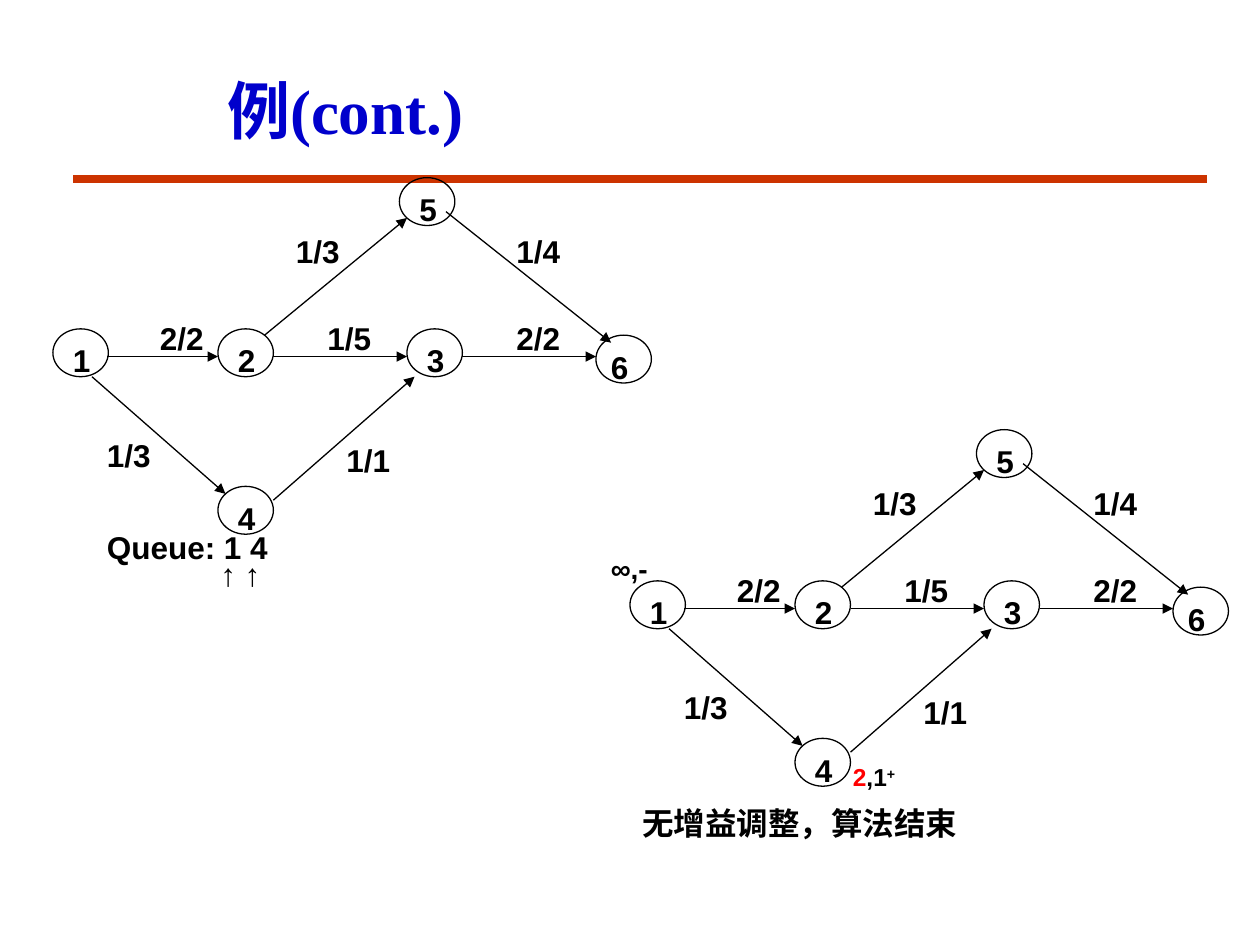
"""Build the slide showing the last steps of a maximum-flow example."""
from dataclasses import dataclass

from lxml.etree import SubElement
from pptx import Presentation
from pptx.dml.color import RGBColor
from pptx.enum.shapes import MSO_CONNECTOR, MSO_SHAPE
from pptx.enum.text import MSO_ANCHOR, MSO_AUTO_SIZE, PP_ALIGN
from pptx.oxml.ns import qn
from pptx.shapes.base import BaseShape
from pptx.shapes.connector import Connector
from pptx.util import Inches, Pt

STRAIGHT = MSO_CONNECTOR.STRAIGHT
OVAL = MSO_SHAPE.OVAL
TOP = MSO_ANCHOR.TOP
FIT_SHAPE = MSO_AUTO_SIZE.SHAPE_TO_FIT_TEXT
CENTER = PP_ALIGN.CENTER


@dataclass(frozen=True)
class Theme:
    """Colours, fonts and type sizes of the slide."""
    ink: RGBColor = RGBColor(0, 0, 0)
    title: RGBColor = RGBColor(0x00, 0x00, 0xCC)
    rule: RGBColor = RGBColor(0xCC, 0x33, 0x00)
    accent: RGBColor = RGBColor(0xFF, 0, 0)
    body_font: str = "Arial"
    title_font: str = "Times New Roman"
    title_size: int = 36
    body_size: int = 18
    source_size: int = 16
    mark_size: int = 14
    thin: float = 0.75
    thick: float = 4.5


@dataclass(frozen=True)
class Node:
    """A numbered vertex and its place in the network."""
    name: str
    left: float
    top: float
    label_shift: float = 0.06


@dataclass(frozen=True)
class Edge:
    """An arrow with its flow label."""
    start: tuple[float, float]
    end: tuple[float, float]
    label: str
    label_left: float
    label_top: float


THEME = Theme()
NODE_SIZE = (0.44, 0.38)
NETWORK_ORIGINS = ((0, 0), (4.58, 2))
NODES = (
    Node("1", 0.42, 2.61),
    Node("2", 1.73, 2.61),
    Node("3", 3.23, 2.61),
    Node("4", 1.73, 3.86),
    Node("5", 3.17, 1.41),
    Node("6", 4.73, 2.66, 0.02),
)
EDGES = (
    Edge((0.73, 2.99), (1.79, 3.92), "1/3", 0.75, 3.41),
    Edge((0.85, 2.83), (1.73, 2.83), "2/2", 1.17, 2.48),
    Edge((2.1, 2.66), (3.23, 1.73), "1/3", 2.25, 1.79),
    Edge((2.17, 2.83), (3.23, 2.83), "1/5", 2.5, 2.48),
    Edge((2.17, 3.97), (3.29, 2.99), "1/1", 2.65, 3.45),
    Edge((3.67, 2.83), (4.73, 2.83), "2/2", 4, 2.48),
    Edge((3.54, 1.68), (4.85, 2.72), "1/4", 4, 1.79),
)


def apply_format(target, values: dict) -> None:
    """Set each named attribute on the target."""
    for name, value in values.items():
        setattr(target, name, value)


def add_run(paragraph, text: str, size: int = THEME.body_size,
            color: RGBColor = THEME.ink, name: str = THEME.body_font):
    """Append a bold run to a paragraph."""
    run = paragraph.add_run()
    run.text = text
    apply_format(run.font, {"size": Pt(size), "name": name, "bold": True})
    run.font.color.rgb = color
    return run


def add_text_box(shapes, left: float, top: float, width: float, height: float,
                 text: str = "", size: int = THEME.body_size, wrap: bool = True) -> BaseShape:
    """Add a text box whose height follows its text."""
    box = shapes.add_textbox(Inches(left), Inches(top), Inches(width), Inches(height))
    apply_format(box.text_frame, {"word_wrap": wrap, "auto_size": FIT_SHAPE})
    if text:
        add_run(box.text_frame.paragraphs[0], text, size)
    return box


def add_line(shapes, start: tuple[float, float], end: tuple[float, float],
             color: RGBColor, width: float) -> Connector:
    """Add a straight line without a shadow."""
    line = shapes.add_connector(STRAIGHT, *(Inches(value) for value in (*start, *end)))
    line.line.color.rgb = color
    line.line.width = Pt(width)
    SubElement(line._element.spPr, qn("a:effectLst"))
    return line


def add_node(shapes, node: Node, x: float, y: float) -> None:
    """Draw a vertex outline."""
    oval = shapes.add_shape(OVAL, Inches(x + node.left), Inches(y + node.top),
                            *(Inches(value) for value in NODE_SIZE))
    oval.shadow.inherit = False
    oval.fill.background()
    oval.line.color.rgb = THEME.ink
    oval.line.width = Pt(THEME.thin)


def add_edge(shapes, edge: Edge, x: float, y: float) -> None:
    """Draw an arrow between two vertices."""
    start, end = ((x + point[0], y + point[1]) for point in (edge.start, edge.end))
    arrow = add_line(shapes, start, end, THEME.ink, THEME.thin)
    SubElement(arrow.line._get_or_add_ln(), qn("a:tailEnd"), type="triangle")


def add_network(slide, x: float, y: float) -> None:
    """Draw the whole network as a group, moved by x and y."""
    shapes = slide.shapes.add_group_shape().shapes
    for node in NODES:
        add_node(shapes, node, x, y)
    for edge in EDGES:
        add_edge(shapes, edge, x, y)
    for node in NODES:
        add_text_box(shapes, x + node.left + node.label_shift, y + node.top + 0.05,
                     0.34, 0.4, node.name, wrap=False)
    for edge in EDGES:
        add_text_box(shapes, x + edge.label_left, y + edge.label_top,
                     0.55, 0.4, edge.label, wrap=False)


def add_title(slide) -> None:
    """Place and format the title."""
    title = slide.shapes.title
    apply_format(title, {"left": Inches(0.28), "top": Inches(0.52),
                         "width": Inches(4.92), "height": Inches(0.73)})
    apply_format(title.text_frame, {"word_wrap": True, "auto_size": FIT_SHAPE,
                                    "vertical_anchor": TOP})
    paragraph = title.text_frame.paragraphs[0]
    paragraph.alignment = CENTER
    add_run(paragraph, "例(cont.)", THEME.title_size, THEME.title, THEME.title_font)


def add_mark(slide) -> None:
    """Add the mark of vertex 4."""
    box = add_text_box(slide.shapes, 6.67, 6, 0.58, 0.33)
    paragraph = box.text_frame.paragraphs[0]
    add_run(paragraph, "2", THEME.mark_size, THEME.accent)
    add_run(paragraph, ",1", THEME.mark_size)
    sign = add_run(paragraph, "+", THEME.mark_size)
    sign._r.get_or_add_rPr().set("baseline", "30000")


def add_queue(slide) -> None:
    """Add the queue with its two pointers."""
    box = add_text_box(slide.shapes, 0.75, 4.33, 2.42, 0.4, "Queue: 1 4")
    queue = box.text_frame.paragraphs[0]
    pointers = box.text_frame.add_paragraph()
    add_run(pointers, "↑ ↑")
    pointers.space_before = Pt(10)
    pointers._p.get_or_add_pPr().set("marL", str(Inches(0.9)))
    for paragraph in (queue, pointers):
        paragraph.line_spacing = 0.25


def main() -> None:
    """Build and save the presentation."""
    presentation = Presentation()
    apply_format(presentation, {"slide_width": Inches(10), "slide_height": Inches(7.5)})
    slide = presentation.slides.add_slide(presentation.slide_layouts[5])
    add_title(slide)
    add_line(slide.shapes, (0.58, 1.42), (9.58, 1.42), THEME.rule, THEME.thick)
    for x, y in NETWORK_ORIGINS:
        add_network(slide, x, y)
    add_text_box(slide.shapes, 4.75, 4.33, 0.5, 0.37, "∞,-", THEME.source_size)
    add_mark(slide)
    add_text_box(slide.shapes, 5, 6.33, 4.14, 0.4, "无增益调整，算法结束")
    add_queue(slide)
    presentation.save("out.pptx")


if __name__ == "__main__":
    main()
